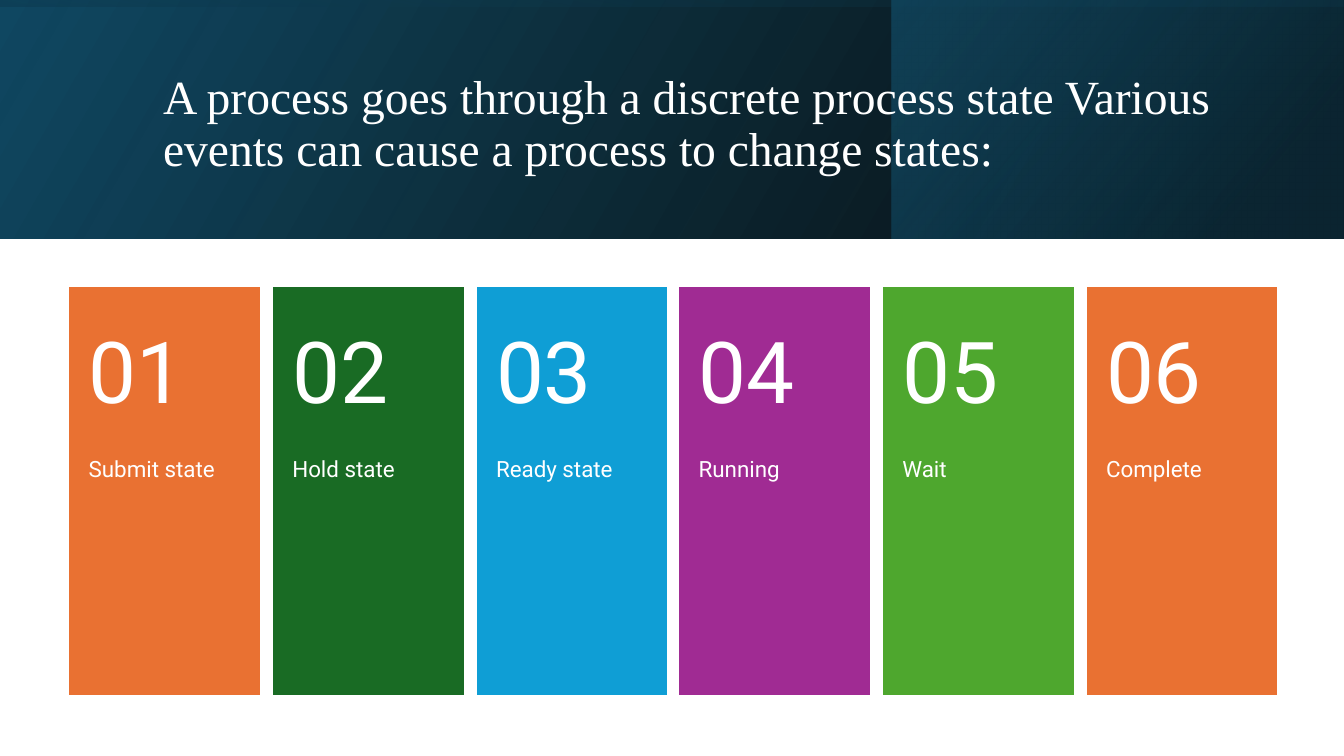
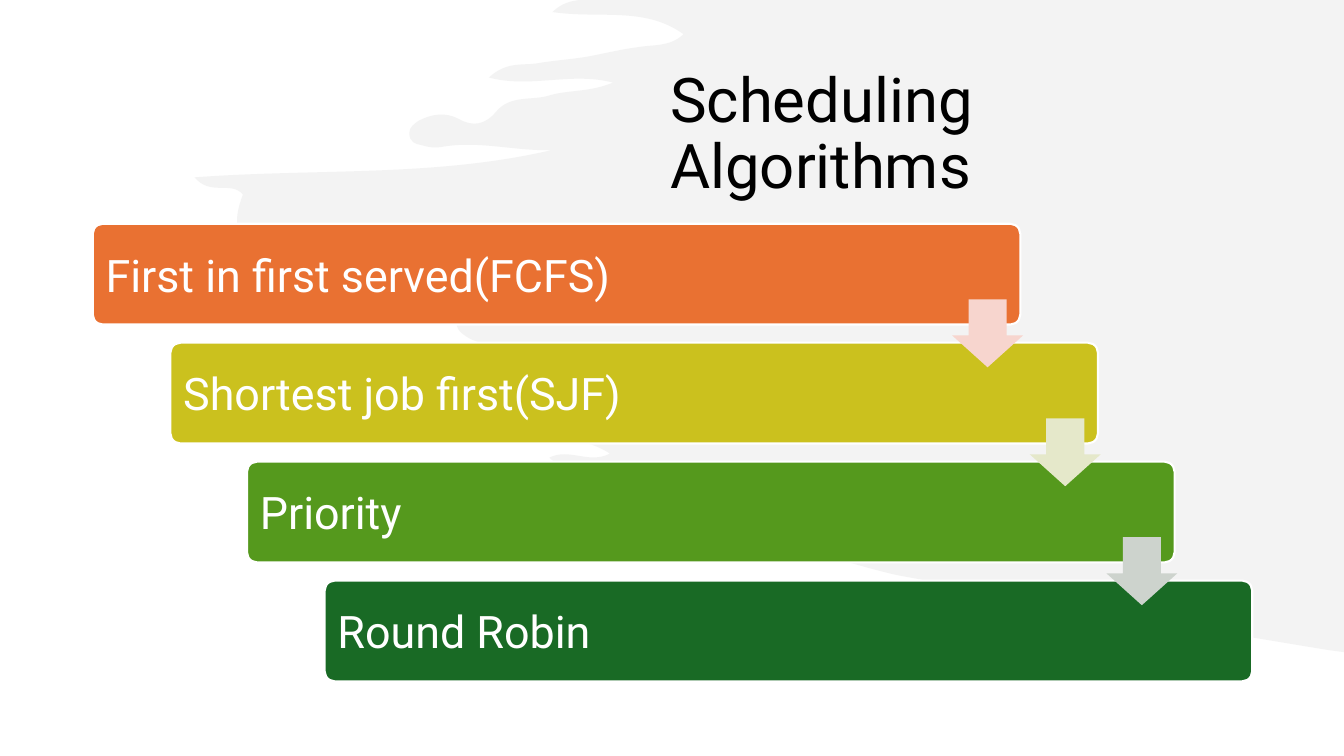
"""Build two slides on process states and scheduling algorithms."""
from dataclasses import dataclass
from typing import NamedTuple

from lxml.etree import SubElement
from pptx import Presentation
from pptx.dml.color import RGBColor
from pptx.enum.shapes import MSO_SHAPE
from pptx.enum.text import MSO_ANCHOR, PP_ALIGN
from pptx.oxml.ns import qn
from pptx.shapes.autoshape import Shape
from pptx.slide import Slide
from pptx.util import Emu, Pt

PX = 9144
SLIDE_WIDTH, SLIDE_HEIGHT = 1333, 750
BANNER_HEIGHT = 237
BODY_FONT = "Roboto"
BANNER_FONT = "Times New Roman"
COLORS = {
    "white": "FFFFFF", "black": "000000", "brush": "E8E8E8",
    "deep": "104862", "navy": "0B3041", "teal": "156082",
    "orange": "E97132", "forest": "196B24", "blue": "0F9ED5",
    "purple": "A02B93", "green": "4EA72E",
    "olive": "CBC11E", "leaf": "55991D", "pine": "196A25",
    "pale orange": "F7D5CE", "pale olive": "E5E8CA", "pale leaf": "CDD3CD",
}


class Box(NamedTuple):
    left: int
    top: int
    width: int
    height: int


class Stop(NamedTuple):
    position: int
    color: str
    opacity: int


@dataclass(frozen=True)
class BannerLayer:
    box: Box
    stops: tuple[Stop, Stop]
    angle: int
    rotation: int = 0


@dataclass(frozen=True)
class TextStyle:
    size: int
    font: str = BODY_FONT
    color: str = "white"
    anchor: MSO_ANCHOR = MSO_ANCHOR.MIDDLE
    insets: tuple[int, int, int, int] = (10, 5, 10, 5)
    line_spacing: float = 1.0


@dataclass(frozen=True)
class State:
    label: str
    color: str


@dataclass(frozen=True)
class Algorithm:
    label: str
    color: str
    arrow_color: str = ""


BANNER_LAYERS = (
    BannerLayer(Box(0, 0, SLIDE_WIDTH, BANNER_HEIGHT),
                (Stop(0, "black", 96), Stop(100, "deep", 100)), 330),
    BannerLayer(Box(884, 0, 448, BANNER_HEIGHT),
                (Stop(19, "navy", 68), Stop(100, "teal", 48)), 320),
    BannerLayer(Box(548, -548, BANNER_HEIGHT, SLIDE_WIDTH),
                (Stop(23, "deep", 16), Stop(99, "black", 45)), 350, 270),
)
STATES = (
    State("Submit state", "orange"),
    State("Hold state", "forest"),
    State("Ready state", "blue"),
    State("Running", "purple"),
    State("Wait", "green"),
    State("Complete", "orange"),
)
ALGORITHMS = (
    Algorithm("First in first served(FCFS)", "orange", "pale orange"),
    Algorithm("Shortest job first(SJF)", "olive", "pale olive"),
    Algorithm("Priority", "leaf", "pale leaf"),
    Algorithm("Round Robin", "pine"),
)
BRUSH_LEFT = 193
BRUSH_START = (575, 0)
BRUSH_CURVES = (
    (567, 1, 557, 3, 548, 12), (595, 19, 639, 6, 678, 34),
    (664, 47, 648, 44, 632, 47), (616, 49, 600, 53, 584, 56),
    (567, 59, 549, 60, 532, 63), (518, 65, 502, 61, 485, 77),
    (527, 88, 566, 71, 608, 82), (584, 92, 563, 89, 544, 95),
    (527, 100, 506, 94, 492, 111), (481, 124, 469, 126, 455, 118),
    (442, 111, 428, 113, 415, 120), (411, 123, 406, 126, 406, 132),
    (406, 141, 412, 143, 418, 144), (424, 146, 431, 147, 437, 146),
    (474, 139, 510, 150, 547, 149), (431, 176, 314, 167, BRUSH_LEFT, 176),
    (209, 195, 229, 179, 241, 193), (230, 222, 234, 237, 258, 239),
    (280, 241, 304, 231, 316, 265), (320, 276, 341, 273, 355, 275),
    (384, 279, 414, 275, 442, 288), (453, 293, 460, 297, 455, 311),
    (449, 325, 456, 330, 466, 336), (473, 340, 483, 339, 489, 352),
    (428, 350, 369, 340, 309, 350), (375, 374, 447, 373, 512, 402),
    (510, 412, 495, 407, 494, 422), (528, 438, 569, 427, 605, 450),
    (584, 461, 565, 444, 545, 454), (552, 469, 840, 561, 892, 571),
    (978, 587, 1195, 625, 1318, 645),
)
BRUSH_END = (SLIDE_WIDTH, 647)


def rgb(color: str) -> RGBColor:
    return RGBColor.from_string(COLORS[color])


def emu(box: Box) -> tuple[Emu, ...]:
    return tuple(Emu(length * PX) for length in box)


def spread(first: int, last: int, count: int) -> list[int]:
    return [round(first + i * (last - first) / (count - 1)) for i in range(count)]


def add_block(slide: Slide, kind: MSO_SHAPE, box: Box, fill: str, line: str,
              adjustments: tuple[float, ...] = ()) -> Shape:
    block = slide.shapes.add_shape(kind, *emu(box))
    for i, value in enumerate(adjustments):
        block.adjustments[i] = value
    block.shadow.inherit = False
    block.fill.solid()
    block.fill.fore_color.rgb = rgb(fill)
    block.line.color.rgb = rgb(line)
    block.line.width = Pt(1.5)
    SubElement(block._element.spPr.find(qn("a:ln")), qn("a:miter"), lim="800000")
    return block


def write(shape: Shape, text: str, style: TextStyle) -> None:
    frame = shape.text_frame
    frame.word_wrap = True
    frame.vertical_anchor = style.anchor
    (frame.margin_left, frame.margin_top,
     frame.margin_right, frame.margin_bottom) = (Emu(i * PX) for i in style.insets)
    paragraph = frame.paragraphs[0]
    paragraph.alignment = PP_ALIGN.LEFT
    paragraph.line_spacing = style.line_spacing
    run = paragraph.add_run()
    run.text = text
    run.font.size = Pt(style.size)
    run.font.name = style.font
    run.font.color.rgb = rgb(style.color)


def add_text(slide: Slide, box: Box, text: str, style: TextStyle) -> None:
    write(slide.shapes.add_textbox(*emu(box)), text, style)


def add_title(slide: Slide, box: Box, text: str, size: int, font: str, color: str) -> None:
    add_text(slide, box, text, TextStyle(size, font, color, line_spacing=0.9))


def add_banner_layer(slide: Slide, layer: BannerLayer) -> None:
    band = slide.shapes.add_shape(MSO_SHAPE.RECTANGLE, *emu(layer.box))
    band.shadow.inherit = False
    band.line.fill.background()
    band.rotation = layer.rotation
    properties = band._element.spPr
    properties.find(qn("a:xfrm")).set("flipH", "1")
    band.fill.gradient()
    gradient = properties.find(qn("a:gradFill"))
    for child in list(gradient):
        gradient.remove(child)
    gradient.set("rotWithShape", "1")
    stop_list = SubElement(gradient, qn("a:gsLst"))
    for stop in layer.stops:
        entry = SubElement(stop_list, qn("a:gs"), pos=str(stop.position * 1000))
        color = SubElement(entry, qn("a:srgbClr"), val=COLORS[stop.color])
        SubElement(color, qn("a:alpha"), val=str(stop.opacity * 1000))
    SubElement(gradient, qn("a:lin"), ang=str(layer.angle * 60000), scaled="0")


def add_brush(slide: Slide) -> None:
    builder = slide.shapes.build_freeform(SLIDE_WIDTH, 0, scale=PX)
    curve_ends = [curve[4:] for curve in BRUSH_CURVES]
    builder.add_line_segments([BRUSH_START, *curve_ends, BRUSH_END], close=True)
    brush = builder.convert_to_shape()
    brush.shadow.inherit = False
    brush.line.fill.background()
    brush.fill.solid()
    brush.fill.fore_color.rgb = rgb("brush")
    properties = brush._element.spPr
    color = properties.find(qn("a:solidFill")).find(qn("a:srgbClr"))
    SubElement(color, qn("a:alpha"), val="50000")
    segments = list(properties.iter(qn("a:lnTo")))[1:]
    for segment, curve in zip(segments, BRUSH_CURVES):
        segment.tag = qn("a:cubicBezTo")
        for child in list(segment):
            segment.remove(child)
        for x, y in zip(curve[::2], curve[1::2]):
            SubElement(segment, qn("a:pt"), x=str(x - BRUSH_LEFT), y=str(y))


def build_states(slide: Slide) -> None:
    for layer in BANNER_LAYERS:
        add_banner_layer(slide, layer)
    add_title(slide, Box(152, 38, 1063, 172),
              "A process goes through a discrete process state Various events "
              "can cause a process to change states:", 34, BANNER_FONT, "white")
    number_style = TextStyle(61, insets=(18, 18, 18, 18))
    label_style = TextStyle(16, anchor=MSO_ANCHOR.TOP, insets=(18, 5, 18, 36))
    lefts = spread(70, 1079, len(STATES))
    for left, state in zip(lefts, STATES):
        add_block(slide, MSO_SHAPE.RECTANGLE, Box(left, 286, 187, 403),
                  state.color, state.color)
    for number, (left, state) in enumerate(zip(lefts, STATES), start=1):
        add_text(slide, Box(left, 286, 187, 161), f"{number:02}", number_style)
        add_text(slide, Box(left, 447, 187, 242), state.label, label_style)


def build_algorithms(slide: Slide) -> None:
    add_brush(slide)
    add_title(slide, Box(655, 31, 586, 207), "Scheduling Algorithms", 44, BODY_FONT, "black")
    bar_style = TextStyle(32, insets=(10, 10, 10, 10))
    corners = list(zip(spread(92, 322, len(ALGORITHMS)), spread(222, 576, len(ALGORITHMS))))
    for (left, top), algorithm in zip(corners, ALGORITHMS):
        bar = add_block(slide, MSO_SHAPE.ROUNDED_RECTANGLE, Box(left, top, 920, 100),
                        algorithm.color, "white", (0.1,))
        write(bar, algorithm.label, bar_style)
    for (left, top), algorithm in zip(corners, ALGORITHMS):
        if algorithm.arrow_color:
            add_block(slide, MSO_SHAPE.DOWN_ARROW, Box(left + 855, top + 76, 65, 65),
                      algorithm.arrow_color, algorithm.arrow_color, (0.55, 0.45))


def main() -> None:
    deck = Presentation()
    deck.slide_width, deck.slide_height = Emu(SLIDE_WIDTH * PX), Emu(SLIDE_HEIGHT * PX)
    for build in (build_states, build_algorithms):
        build(deck.slides.add_slide(deck.slide_layouts[6]))
    deck.save("out.pptx")


if __name__ == "__main__":
    main()
